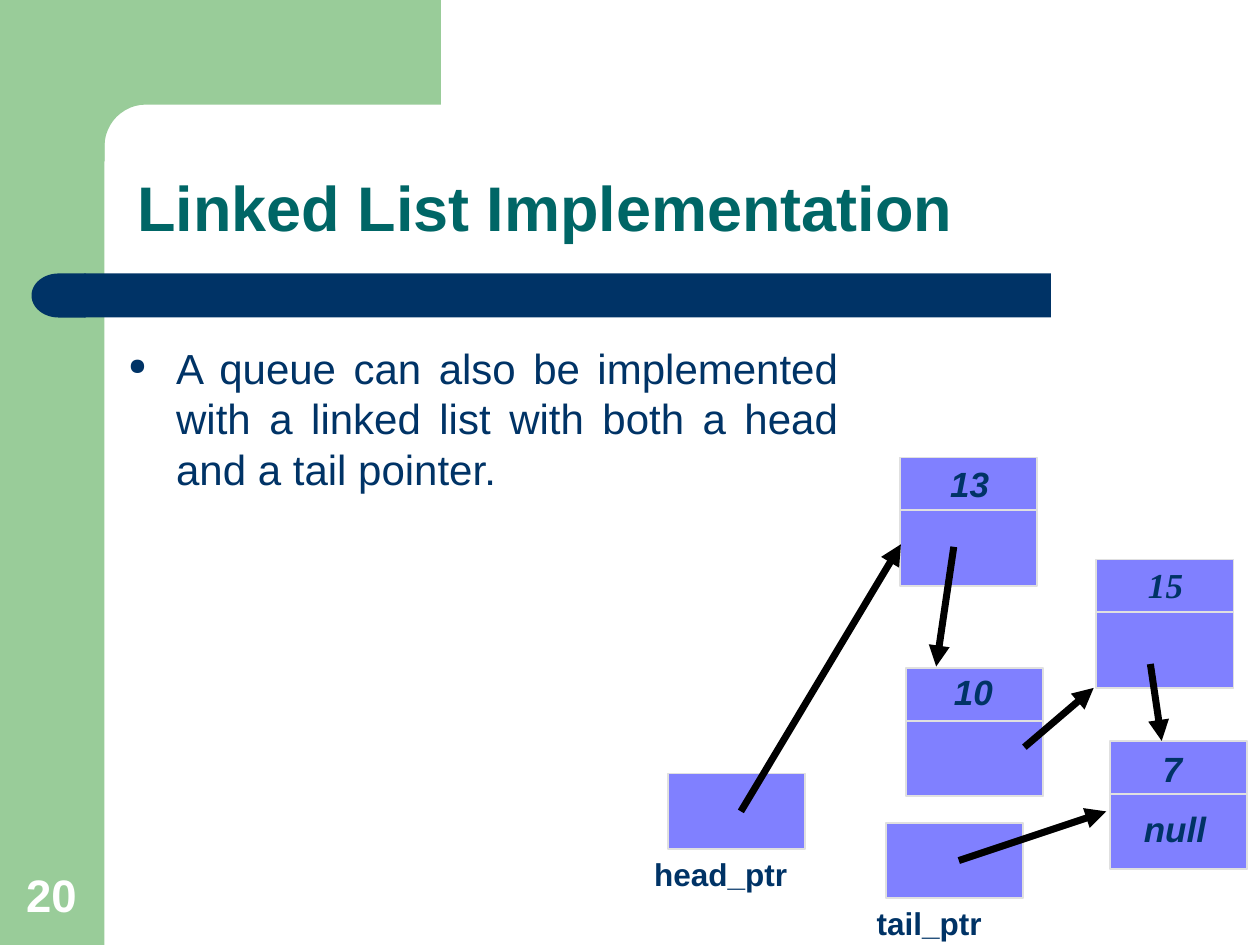
import math

from lxml import etree
from pptx import Presentation
from pptx import util as u
from pptx.dml.color import RGBColor
from pptx.enum import shapes, text
from pptx.oxml.ns import qn

GREEN, NAVY, TEAL = "99CC99", "003366", "006666"
VIOLET, GREY, BLACK, WHITE = "8080FF", "E0E0E0", "000000", "FFFFFF"
BOX_WIDTH, NODE_HEIGHT, POINTER_HEIGHT = 1.09, 1.02, 0.6
DIVIDER_DROP = 0.42


def color(value):
    return RGBColor.from_string(value)


def paint(shape, fill, line=None):
    shape.shadow.inherit = False
    shape.fill.solid()
    shape.fill.fore_color.rgb = color(fill)
    if line:
        shape.line.color.rgb = color(line)
        shape.line.width = u.Pt(1)
    else:
        shape.line.fill.background()


def add_block(slide, kind, left, top, width, height, fill, line=None):
    shape = slide.shapes.add_shape(kind, *map(u.Inches, (left, top, width, height)))
    paint(shape, fill, line)
    return shape


def add_line(slide, start, end, line, width, arrow=False):
    connector = slide.shapes.add_connector(
        shapes.MSO_CONNECTOR.STRAIGHT, *map(u.Inches, start + end))
    connector.line.color.rgb = color(line)
    connector.line.width = u.Pt(width)
    if arrow:
        etree.SubElement(connector.line._get_or_add_ln(), qn("a:tailEnd"), type="triangle")
    etree.SubElement(connector._element.spPr, qn("a:effectLst"))


def format_text(shape, words, size, fill, bold=True, italic=False, font="Arial",
                align=text.PP_ALIGN.LEFT, spacing=None):
    shape.text_frame.text = words
    paragraph = shape.text_frame.paragraphs[0]
    paragraph.alignment = align
    paragraph.line_spacing = spacing
    run_font = paragraph.runs[0].font
    run_font.name, run_font.size = font, u.Pt(size)
    run_font.bold, run_font.italic = bold, italic
    run_font.color.rgb = color(fill)
    return paragraph


def add_label(slide, words, left, top, width, height, size=20, italic=True, font="Arial"):
    box = slide.shapes.add_textbox(*map(u.Inches, (left, top, width, height)))
    frame = box.text_frame
    frame.word_wrap = False
    frame.margin_left = frame.margin_right = 0
    format_text(box, words, size, NAVY, italic=italic, font=font,
                align=text.PP_ALIGN.CENTER, spacing=0.93)


def add_node(slide, left, top):
    add_block(slide, shapes.MSO_SHAPE.RECTANGLE, left, top,
              BOX_WIDTH, NODE_HEIGHT, VIOLET, GREY)
    divider = top + DIVIDER_DROP
    add_line(slide, (left, divider), (left + BOX_WIDTH, divider), GREY, 1)


def add_pointer(slide, left, top):
    add_block(slide, shapes.MSO_SHAPE.RECTANGLE, left, top,
              BOX_WIDTH, POINTER_HEIGHT, VIOLET, GREY)


def add_frame(slide):
    # Side band, and top band with a rounded inner corner
    add_block(slide, shapes.MSO_SHAPE.RECTANGLE, 0, 0, 0.83, 7.5, GREEN)
    radius, center = 0.33, 1.16
    angles = [math.radians(step * 7.5) for step in range(13)]
    curve = [(center - radius * math.sin(a), center - radius * math.cos(a)) for a in angles]
    points = [(3.5, 0), (3.5, 0.83)] + curve + [(0.83, 1.28), (0.5, 1.28)]
    # The builder rounds to whole units, so points are given in EMU
    builder = slide.shapes.build_freeform(u.Inches(0.5), 0)
    builder.add_line_segments([(u.Inches(x), u.Inches(y)) for x, y in points], close=True)
    paint(builder.convert_to_shape(), GREEN)
    # Bar under the title with a round left end
    add_block(slide, shapes.MSO_SHAPE.RECTANGLE, 0.67, 2.17, 7.67, 0.35, NAVY)
    cap = add_block(slide, shapes.MSO_SHAPE.FLOWCHART_DELAY, 0.25, 2.17, 0.43, 0.35, NAVY)
    cap.rotation = 180


def add_title(slide, words):
    title = slide.shapes.title
    title.left, title.top, title.width, title.height = map(u.Inches, (1, 0.91, 8.34, 1.09))
    title.text_frame.vertical_anchor = text.MSO_ANCHOR.BOTTOM
    title.text_frame.margin_left = u.Inches(0.09)
    format_text(title, words, 36, TEAL, spacing=0.95)


def add_bullet(slide, words):
    box = slide.shapes.add_textbox(*map(u.Inches, (0.92, 2.67, 5.83, 2.5)))
    box.text_frame.word_wrap = True
    paragraph = format_text(box, words, 24, NAVY, bold=False,
                            align=text.PP_ALIGN.JUSTIFY)
    properties = paragraph._p.get_or_add_pPr()
    properties.set("marL", str(u.Inches(0.38)))
    properties.set("indent", str(u.Inches(-0.38)))
    bullet_color = etree.SubElement(properties, qn("a:buClr"))
    etree.SubElement(bullet_color, qn("a:srgbClr"), val=NAVY)
    etree.SubElement(properties, qn("a:buSzPct"), val="55000")
    etree.SubElement(properties, qn("a:buChar"), char="●")


def add_slide_number(slide, number):
    box = slide.shapes.add_textbox(*map(u.Inches, (0.11, 6.83, 0.64, 0.53)))
    box.text_frame.word_wrap = True
    box.text_frame.vertical_anchor = text.MSO_ANCHOR.BOTTOM
    format_text(box, number, 26, WHITE)


def add_linked_list(slide):
    # Nodes and the two outer pointers
    for left, top in [(7.14, 3.63), (7.19, 5.3), (8.7, 4.44), (8.81, 5.88)]:
        add_node(slide, left, top)
    for left, top in [(5.3, 6.14), (7.03, 6.53)]:
        add_pointer(slide, left, top)

    # Node values
    add_label(slide, "13", 7.44, 3.65, 0.51, 0.41)
    add_label(slide, "10", 7.47, 5.3, 0.51, 0.41)
    add_label(slide, "15", 8.99, 4.45, 0.52, 0.41, font="Times New Roman")
    add_label(slide, "7", 9.13, 5.91, 0.35, 0.41)
    add_label(slide, "null", 8.98, 6.39, 0.69, 0.41)

    # Pointer names
    add_label(slide, "head_ptr", 5.09, 6.76, 1.26, 0.38, size=18, italic=False)
    add_label(slide, "tail_ptr", 6.86, 7.15, 1.03, 0.38, size=18, italic=False)

    # Links, from the head through the nodes, then the tail
    links = [((5.88, 6.44), (7.15, 4.32)), ((7.57, 4.34), (7.43, 5.29)),
             ((8.13, 5.93), (8.68, 5.46)), ((9.13, 5.27), (9.22, 5.88)),
             ((7.61, 6.83), (8.78, 6.44))]
    for start, end in links:
        add_line(slide, start, end, BLACK, 4, arrow=True)


def main():
    presentation = Presentation()
    presentation.slide_width, presentation.slide_height = u.Inches(10), u.Inches(7.5)
    slide = presentation.slides.add_slide(presentation.slide_layouts[5])
    add_frame(slide)
    add_title(slide, "Linked List Implementation")
    add_bullet(slide, "A queue can also be implemented with a linked list "
                      "with both a head and a tail pointer.")
    add_linked_list(slide)
    add_slide_number(slide, "20")
    presentation.save("out.pptx")


if __name__ == "__main__":
    main()
